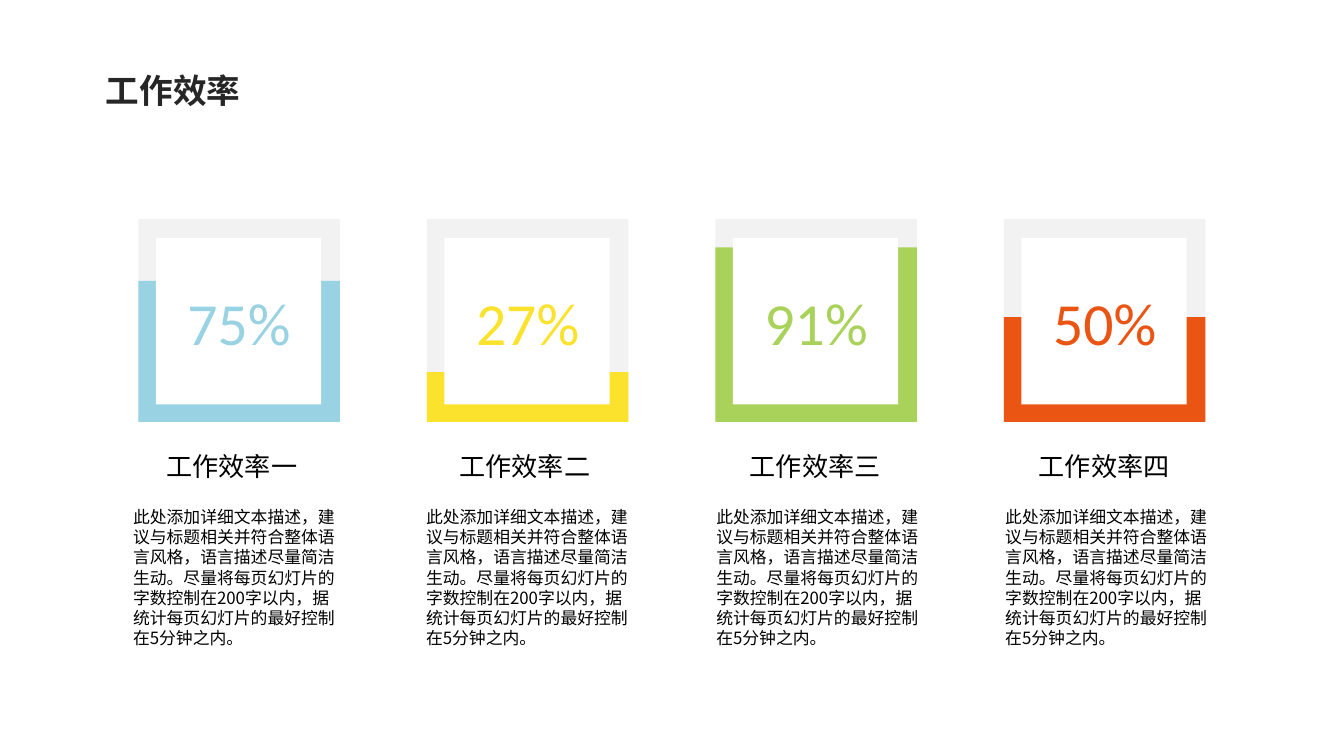
from dataclasses import dataclass

from lxml import etree
from pptx import Presentation
from pptx.dml.color import RGBColor
from pptx.enum.shapes import MSO_SHAPE
from pptx.enum.text import MSO_AUTO_SIZE, PP_ALIGN
from pptx.oxml.ns import qn
from pptx.util import Inches, Pt

RECTANGLE = MSO_SHAPE.RECTANGLE
CENTER = PP_ALIGN.CENTER
LEFT = PP_ALIGN.LEFT
FIT_SHAPE = MSO_AUTO_SIZE.SHAPE_TO_FIT_TEXT


@dataclass(frozen=True)
class Theme:
    title: str = "262626"
    text: str = "000000"
    track: str = "F2F2F2"
    paper: str = "FFFFFF"
    blue: str = "98D2E3"
    yellow: str = "FBE22D"
    green: str = "A9D25A"
    orange: str = "EA5514"
    latin: str = "Calibri"
    chinese: str = "Noto Sans CJK SC"
    title_size: int = 18
    percent_size: int = 32
    heading_size: int = 14
    body_size: int = 9


THEME = Theme()
DESCRIPTION = (
    "此处添加详细文本描述，建议与标题相关并符合整体语言风格，语言描述尽量简洁生动。"
    "尽量将每页幻灯片的字数控制在200字以内，据统计每页幻灯片的最好控制在5分钟之内。"
)
EFFICIENCIES = [
    ("工作效率一", "75%", 1.05, THEME.blue, 0.99),
    ("工作效率二", "27%", 0.37, THEME.yellow, 3.17),
    ("工作效率三", "91%", 1.3, THEME.green, 5.33),
    ("工作效率四", "50%", 0.78, THEME.orange, 7.48),
]
FIRST_GAUGE, LAST_GAUGE = 1.03, 7.47
GAUGE_PITCH = (LAST_GAUGE - FIRST_GAUGE) / (len(EFFICIENCIES) - 1)


def add_block(slide, left, top, width, height, color):
    block = slide.shapes.add_shape(
        RECTANGLE, Inches(left), Inches(top), Inches(width), Inches(height)
    )
    block.shadow.inherit = False
    block.fill.solid()
    block.fill.fore_color.rgb = RGBColor.from_string(color)
    block.line.fill.background()


def add_text(slide, box, text, size, color, font_name, *,
             bold=False, align=LEFT, wrap=True, inset=True):
    label = slide.shapes.add_textbox(*(Inches(length) for length in box))
    frame = label.text_frame
    frame.word_wrap = wrap
    frame.auto_size = FIT_SHAPE
    if not inset:
        frame.margin_left = frame.margin_right = 0
        frame.margin_top = frame.margin_bottom = 0
    frame.text = text
    paragraph = frame.paragraphs[0]
    paragraph.alignment = align
    run = paragraph.runs[0]
    run.font.size = Pt(size)
    run.font.bold = bold
    run.font.color.rgb = RGBColor.from_string(color)
    run.font.name = font_name
    east_asian = etree.SubElement(run.font._element, qn("a:ea"))
    east_asian.set("typeface", THEME.chinese)


def add_title(slide, left, top, width, height):
    add_text(slide, (left, top, width, height), "工作效率",
             THEME.title_size, THEME.title, THEME.chinese, bold=True)


def add_gauge(slide, left, top, width, height, percent, level, color):
    add_block(slide, left, top, width, height, THEME.track)
    add_block(slide, left, top + height - level, width, level, color)
    side, edge = 0.13, 0.14
    add_block(slide, left + side, top + edge,
              width - side - edge, height - side - edge, THEME.paper)
    add_text(slide, (left + 0.12, top + 0.5, width - 0.24, 0.54), percent,
             THEME.percent_size, color, THEME.latin, align=CENTER, inset=False)


def add_caption(slide, left, top, width, height, heading):
    add_text(slide, (left + 0.15, top, 1.18, 0.34), heading,
             THEME.heading_size, THEME.text, THEME.latin, wrap=False)
    add_text(slide, (left, top + 0.47, width, height - 0.47), DESCRIPTION,
             THEME.body_size, THEME.text, THEME.chinese, inset=False)


def main():
    presentation = Presentation()
    presentation.slide_width = Inches(10)
    presentation.slide_height = Inches(10) * 9 // 16
    slide = presentation.slides.add_slide(presentation.slide_layouts[6])

    add_title(slide, 0.69, 0.47, 3.47, 0.4)
    for column, (heading, percent, level, color, caption_left) in enumerate(EFFICIENCIES):
        add_gauge(slide, FIRST_GAUGE + column * GAUGE_PITCH, 1.63, 1.5, 1.51,
                  percent, level, color)
        add_caption(slide, caption_left, 3.3, 1.57, 1.53, heading)
    presentation.save("out.pptx")


if __name__ == "__main__":
    main()
